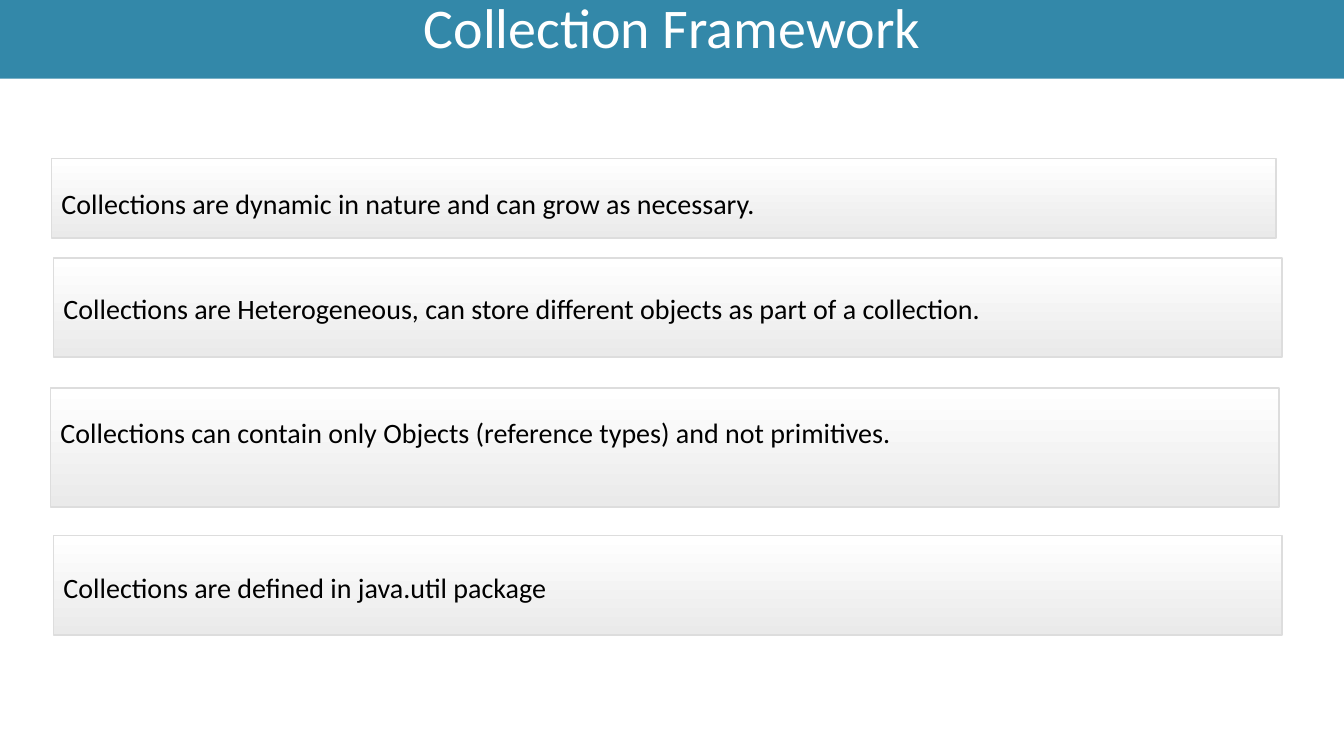
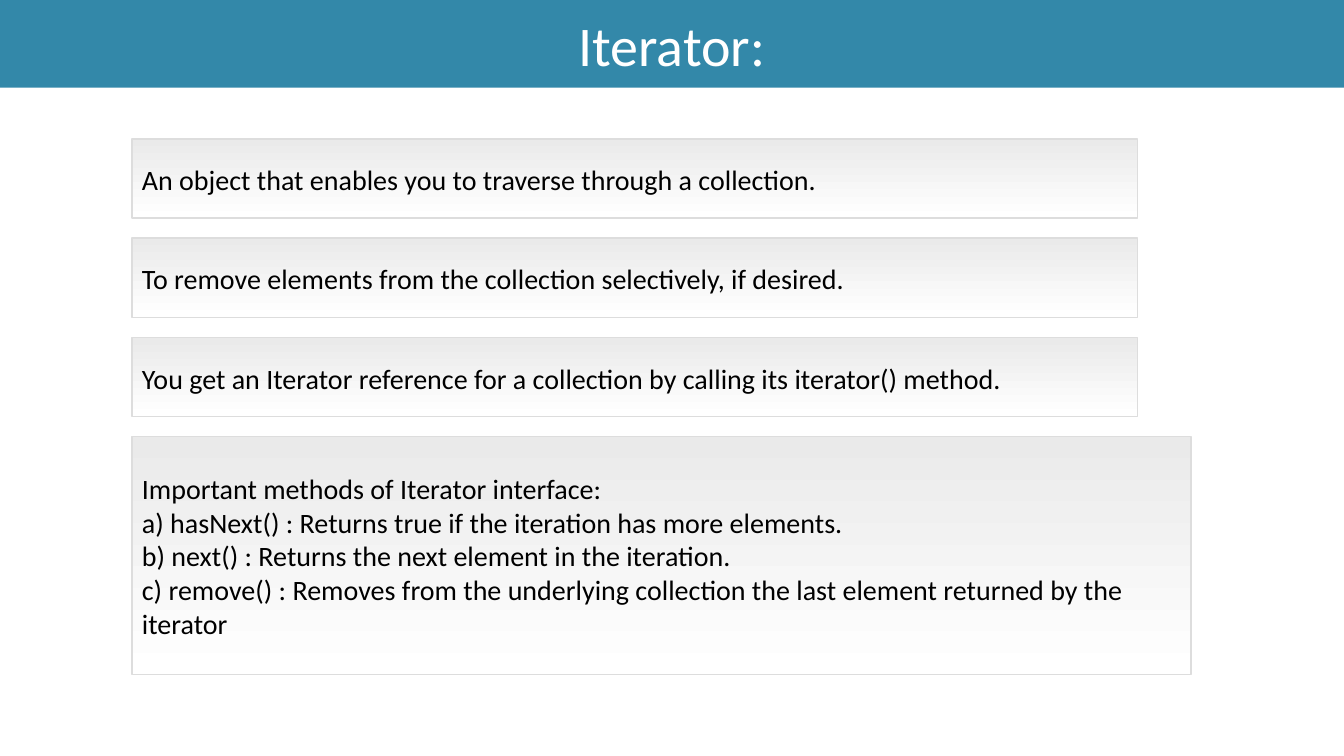
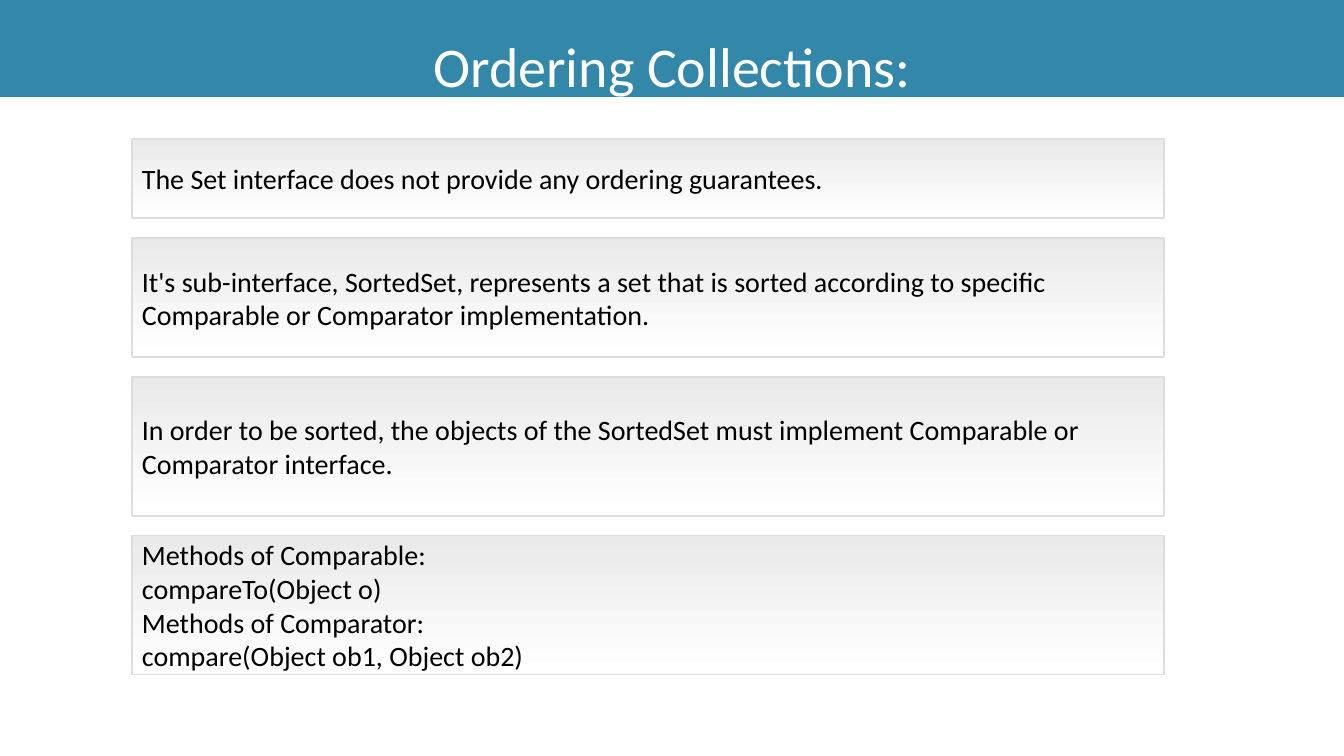
from dataclasses import dataclass

from pptx import Presentation
from pptx import util as u
from pptx.dml.color import RGBColor
from pptx.enum import shapes, text


@dataclass(frozen=True)
class Theme:
    font: str = "Calibri"
    band: str = "3388A9"
    light: str = "FFFFFF"
    shade: str = "EAEAEA"
    edge: str = "DDDDDD"
    ink: str = "000000"
    head: int = 40
    body: int = 20
    rule: float = 0.99


@dataclass(frozen=True)
class Card:
    words: str
    rows: float
    cols: float
    left: float = 6.65
    gap: float = 1
    drop: float = 0  # inches the text sits below the middle


THEME = Theme()
WIDE, HIGH = u.Inches(13.33), u.Inches(7.5)
UNIT = u.Cm(0.5)  # one column or row of the grid


def grid(count):
    return round(count * UNIT)


def rgb(code):
    return RGBColor.from_string(code)


def apply(item, values):
    for name, value in values.items():
        setattr(item, name, value)


# Text shared by title bands and cards
def write(shape, words, size, color, align, pads, space=None):
    frame = shape.text_frame
    frame.text = words
    apply(frame, {
        "word_wrap": True,
        "auto_size": text.MSO_AUTO_SIZE.NONE,
        "vertical_anchor": text.MSO_ANCHOR.MIDDLE,
        "margin_left": u.Inches(0.1),
        "margin_right": u.Inches(0.1),
        "margin_top": u.Inches(pads[0]),
        "margin_bottom": u.Inches(pads[1]),
    })
    for para in frame.paragraphs:
        apply(para, {"alignment": align, "line_spacing": space})
        apply(para.font, {"name": THEME.font, "size": u.Pt(size)})
        para.font.color.rgb = rgb(color)


# Full-width title band
def title(slide, words, rows, space):
    band = slide.shapes.title
    apply(band, {"left": 0, "top": 0, "width": WIDE, "height": grid(rows)})
    band.fill.solid()
    band.fill.fore_color.rgb = rgb(THEME.band)
    write(band, words, THEME.head, THEME.light,
          text.PP_ALIGN.CENTER, (0.05, 0.05), space)


# Shaded card with left-aligned text
def panel(slide, card, top, tones):
    box = slide.shapes.add_shape(
        shapes.MSO_SHAPE.RECTANGLE, grid(card.left), grid(top),
        grid(card.cols), grid(card.rows))
    box.shadow.inherit = False
    box.fill.gradient()
    box.fill.gradient_angle = 270
    for stop, tone in zip(box.fill.gradient_stops, tones):
        stop.color.rgb = rgb(tone)
    box.line.color.rgb = rgb(THEME.edge)
    box.line.width = u.Pt(THEME.rule)
    pads = (0.1 + max(0, 2 * card.drop), 0.1 + max(0, -2 * card.drop))
    write(box, card.words, THEME.body, THEME.ink, text.PP_ALIGN.LEFT, pads)


def stack(slide, cards, top, tones):
    for card in cards:
        panel(slide, card, top, tones)
        top += card.rows + card.gap


def page(deck, words, rows, space, cards, top, tones):
    slide = deck.slides.add_slide(deck.slide_layouts[5])
    title(slide, words, rows, space)
    stack(slide, cards, top, tones)


def main():
    deck = Presentation()
    apply(deck, {"slide_width": WIDE, "slide_height": HIGH})
    down = (THEME.light, THEME.shade)
    up = (THEME.shade, THEME.light)

    # Collection traits
    page(deck, "Collection Framework", 3.96, u.Pt(29.6), [
        Card("Collections are dynamic in nature and can grow as necessary.",
             4, 61.7, 2.6, drop=0.05),
        Card("Collections are Heterogeneous, can store different objects "
             "as part of a collection.", 5, 61.9, 2.7, gap=1.55, drop=0.01),
        Card("Collections can contain only Objects (reference types) "
             "and not primitives.", 6, 61.9, 2.55, gap=1.45, drop=-0.15),
        Card("Collections are defined in java.util package",
             5, 61.9, 2.7, drop=0.02),
    ], 8, down)

    # Iterator and its methods
    page(deck, "Iterator:", 4.42, None, [
        Card("An object that enables you to traverse through a collection.",
             4, 50.65, drop=0.01),
        Card("To remove elements from the collection selectively, if desired.",
             4, 50.65, drop=0.01),
        Card("You get an Iterator reference for a collection by calling "
             "its iterator() method.", 4, 50.65, drop=0.01),
        Card("Important methods of Iterator interface:\n"
             "a) hasNext() : Returns true if the iteration has more elements.\n"
             "b) next() : Returns the next element in the iteration.\n"
             "c) remove() : Removes from the underlying collection the last "
             "element returned by the iterator", 12, 53.35),
    ], 7, up)

    # Sorted sets
    page(deck, "Ordering Collections:", 4.88, 1.5, [
        Card("The Set interface does not provide any ordering guarantees.",
             4, 52),
        Card("It's sub-interface, SortedSet, represents a set that is sorted "
             "according to specific Comparable or Comparator implementation.",
             6, 52),
        Card("In order to be sorted, the objects of the SortedSet must "
             "implement Comparable or Comparator interface.", 7, 52),
        Card("Methods of Comparable:\ncompareTo(Object o)\n"
             "Methods of Comparator:\ncompare(Object ob1, Object ob2)", 7, 52),
    ], 7, up)

    deck.save("out.pptx")


main()
